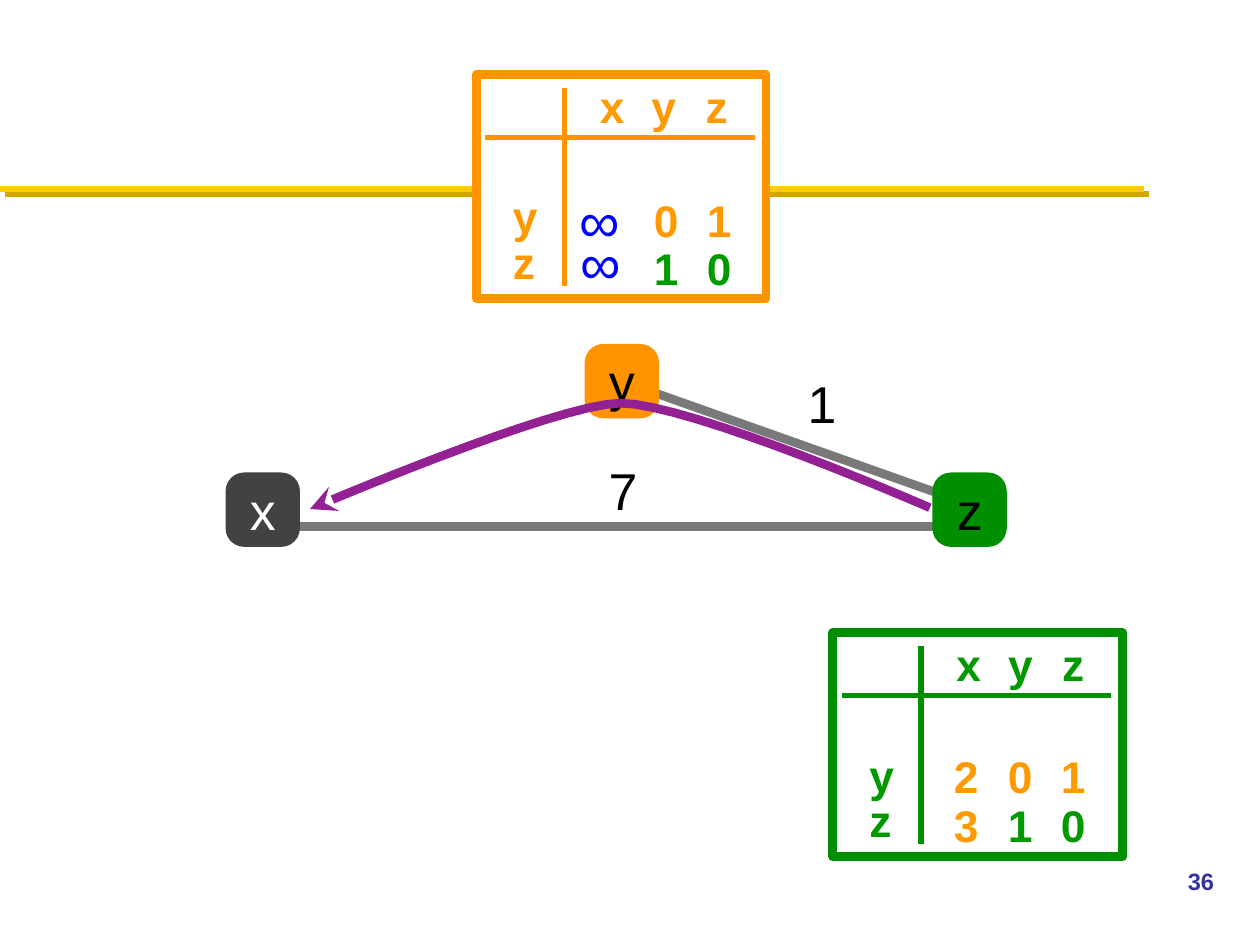
from lxml.etree import SubElement
from pptx import Presentation
from pptx.dml.color import RGBColor
from pptx.enum.shapes import MSO_CONNECTOR, MSO_SHAPE
from pptx.enum.text import MSO_ANCHOR, PP_ALIGN
from pptx.oxml.ns import qn
from pptx.util import Inches, Pt

GRID = Inches(0.01)
COLUMNS, ROWS = 1000, 750
ORANGE, GREEN = "FF9900", "009900"
ORANGE_FRAME, GREEN_FRAME = "FF9300", "008F00"
BLUE, GRAY, PURPLE, BLACK, WHITE = "0000FF", "797979", "942193", "000000", "FFFFFF"


def colour(value):
    return RGBColor.from_string(value)


def grid(*cells):
    return [round(cell * GRID) for cell in cells]


def set_line(shape, value, width):
    shape.line.color.rgb = colour(value)
    shape.line.width = Pt(width)


def write(shape, text, size, value, bold=False, margin=4):
    frame = shape.text_frame
    frame.word_wrap = True
    frame.vertical_anchor = MSO_ANCHOR.MIDDLE
    frame.margin_left = frame.margin_right = round(margin * GRID)
    frame.margin_top = frame.margin_bottom = round(margin * GRID)
    frame.text = text
    font = frame.paragraphs[0].runs[0].font
    font.name, font.size, font.bold = "Arial", Pt(size), bold
    font.color.rgb = colour(value)


def add_label(slide, box, text, size, value, bold=False):
    label = slide.shapes.add_textbox(*grid(*box))
    write(label, text, size, value, bold)
    return label


def add_line(slide, start, end, value, width):
    line = slide.shapes.add_connector(MSO_CONNECTOR.STRAIGHT, *grid(*start, *end))
    set_line(line, value, width)
    return SubElement(line._element.spPr, qn("a:effectLst"))


def add_rule(slide, left, top, width):
    effects = add_line(slide, (left, top), (left + width, top), "FFCB05", 3.5)
    shadow = SubElement(effects, qn("a:outerShdw"), dist=str(Pt(4.2)), dir="2700000")
    SubElement(shadow, qn("a:srgbClr"), val="D3A600")


def add_distance_table(slide, left, top, frame_colour, text_colour, columns, rows, values):
    width, height = 230, 178
    frame = slide.shapes.add_shape(MSO_SHAPE.RECTANGLE, *grid(left, top, width, height))
    frame.shadow.inherit = False
    frame.fill.solid()
    frame.fill.fore_color.rgb = colour(WHITE)
    set_line(frame, frame_colour, 5)
    add_line(slide, (left + 7, top + 50), (left + 221, top + 50), frame_colour, 3)
    add_line(slide, (left + 70, top + 11), (left + 70, top + 168), frame_colour, 3)

    for text, column in zip("xyz", (94, 135, 178)):
        add_label(slide, (left + column, top + 2, 29, 46), text, 25.3, text_colour, True)
    for text, row in zip("yz", (87, 123)):
        add_label(slide, (left + 25, top + row, 26, 51), text, 25.3, text_colour, True)
    for row, row_values in zip(rows, values):
        for column, (text, value) in zip(columns, row_values):
            add_label(slide, (left + column, top + row, 23, 51), text, 25.3, value, True)


def add_infinities(slide, left, top):
    for column, row in ((78, 89), (79, 122)):
        add_label(slide, (left + column, top + row, 48, 53), "∞", 32.4, BLUE)


def add_node(slide, left, top, text, fill, text_colour):
    node = slide.shapes.add_shape(MSO_SHAPE.ROUNDED_RECTANGLE, *grid(left, top, 59, 59))
    node.adjustments[0] = 0.25
    node.shadow.inherit = False
    node.fill.solid()
    node.fill.fore_color.rgb = colour(fill)
    node.line.fill.background()
    write(node, text, 29.6, text_colour, margin=0)
    node.text_frame.paragraphs[0].alignment = PP_ALIGN.CENTER


def curve_points(start, first, second, end, steps=16):
    for step in range(1, steps + 1):
        t = step / steps
        weights = ((1 - t) ** 3, 3 * t * (1 - t) ** 2, 3 * t * t * (1 - t), t ** 3)
        yield tuple(
            sum(weight * point[axis] for weight, point in zip(weights, (start, first, second, end)))
            for axis in (0, 1)
        )


def add_route(slide, left, top):
    start, peak, end = (left + 559, top + 130), (left + 313, top + 47), (left + 67, top + 131)
    points = [
        *curve_points(start, start, (left + 369, top + 47), peak),
        *curve_points(peak, (left + 261, top + 48), end, end),
    ]
    builder = slide.shapes.build_freeform(*grid(*start))
    builder.add_line_segments([grid(*point) for point in points], close=False)
    route = builder.convert_to_shape()
    route.shadow.inherit = False
    route.fill.background()
    set_line(route, PURPLE, 5)
    outline = route.line._get_or_add_ln()
    SubElement(outline, qn("a:round"))
    SubElement(outline, qn("a:tailEnd"), type="stealth")


def add_network(slide, left, top):
    add_line(slide, (left + 51, top + 145), (left + 584, top + 145), GRAY, 5)
    add_line(slide, (left + 330, top + 35), (left + 584, top + 125), GRAY, 5)
    add_node(slide, left, top + 102, "x", "424242", WHITE)
    add_node(slide, left + 561, top + 102, "z", GREEN_FRAME, BLACK)
    add_node(slide, left + 285, top, "y", ORANGE_FRAME, BLACK)
    for text, column, row in (("7", 300, 87), ("1", 458, 18)):
        add_label(slide, (left + column, top + row, 29, 58), text, 29.6, BLACK)
    add_route(slide, left, top)


def add_page_number(slide, left, top):
    number = add_label(slide, (left, top, 67, 50), "36", 13.5, "333399", True)
    number.text_frame.vertical_anchor = MSO_ANCHOR.TOP
    number.text_frame.margin_left = Inches(0.1)
    number.text_frame.margin_top = Inches(0.05)


def main():
    presentation = Presentation()
    presentation.slide_width, presentation.slide_height = grid(COLUMNS, ROWS)
    slide = presentation.slides.add_slide(presentation.slide_layouts[6])
    add_rule(slide, 0, 150, 908)
    add_distance_table(
        slide, 378, 59, ORANGE_FRAME, ORANGE, (137, 179), (90, 128),
        ((("0", ORANGE), ("1", ORANGE)), (("1", GREEN), ("0", GREEN))),
    )
    add_infinities(slide, 378, 59)
    add_network(slide, 179, 273)
    add_distance_table(
        slide, 661, 502, GREEN_FRAME, GREEN, (92, 135, 177), (88, 127),
        (
            (("2", ORANGE), ("0", ORANGE), ("1", ORANGE)),
            (("3", ORANGE), ("1", GREEN), ("0", GREEN)),
        ),
    )
    add_page_number(slide, 933, 683)
    presentation.save("out.pptx")


if __name__ == "__main__":
    main()
